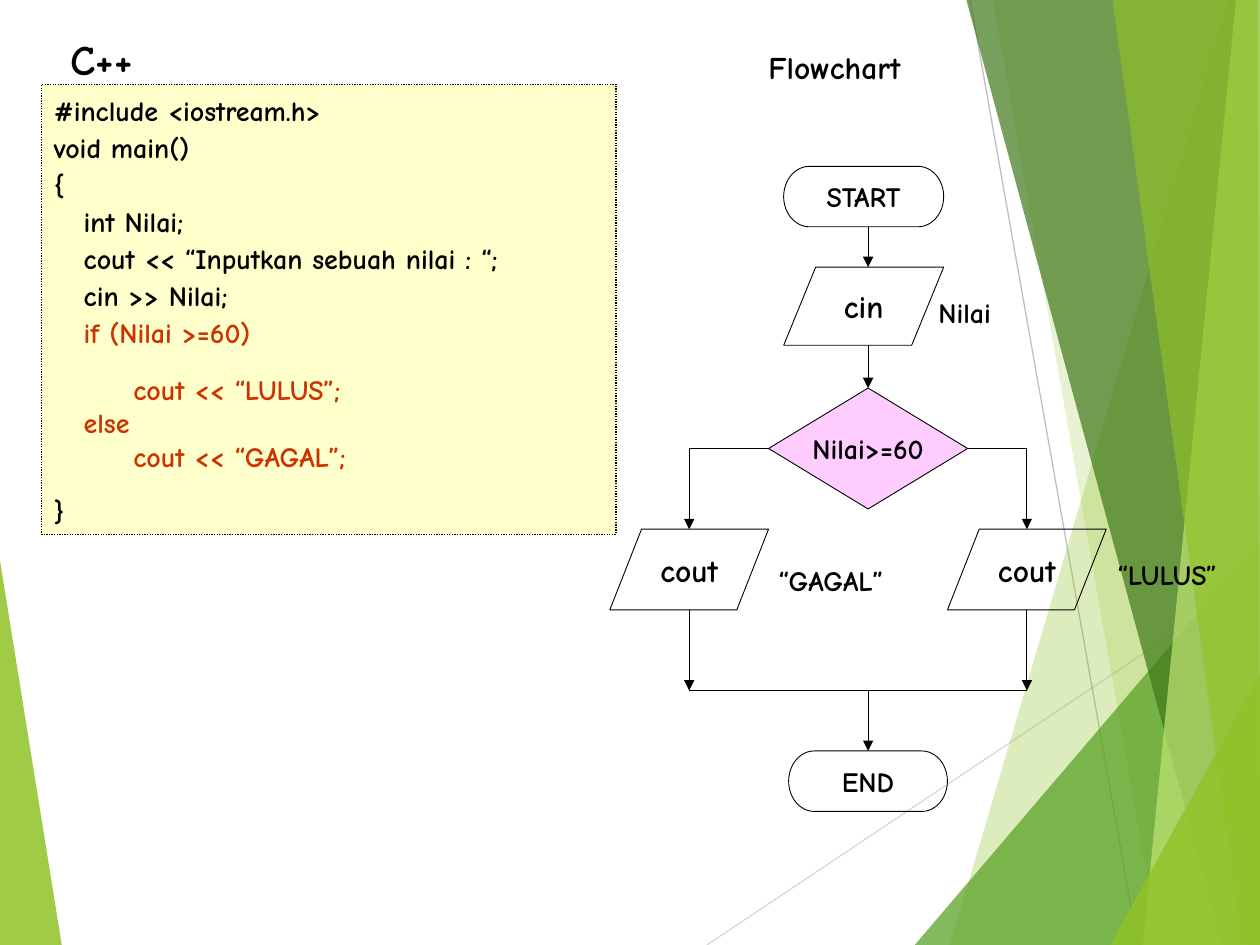
from lxml.etree import SubElement
from pptx import Presentation
from pptx.dml.color import RGBColor
from pptx.enum.dml import MSO_LINE
from pptx.enum.shapes import MSO_CONNECTOR, MSO_SHAPE
from pptx.enum.text import MSO_ANCHOR, MSO_AUTO_SIZE, PP_ALIGN
from pptx.oxml.ns import qn
from pptx.util import Inches, Pt

FONT = "Comic Neue"
BLACK = RGBColor(0x00, 0x00, 0x00)
RED = RGBColor(0xCC, 0x33, 0x00)
CREAM = RGBColor(0xFF, 0xFF, 0xCC)
PINK = RGBColor(0xFF, 0xCC, 0xFF)
LIME = RGBColor(0x90, 0xC2, 0x26)
GREEN = RGBColor(0x54, 0xA0, 0x21)
DARK_GREEN = RGBColor(0x3F, 0x78, 0x19)
PALE_GREEN = RGBColor(0xC0, 0xE4, 0x74)
LIGHT_GRAY = RGBColor(0xD9, 0xD9, 0xD9)
GRAY = RGBColor(0xBF, 0xBF, 0xBF)

prs = Presentation()
prs.slide_width, prs.slide_height = Inches(10), Inches(7.5)
slide = prs.slides.add_slide(prs.slide_layouts[6])
shapes = slide.shapes


def add_line(x1, y1, x2, y2, color=BLACK, width=0.5, arrow=False):
    line = shapes.add_connector(MSO_CONNECTOR.STRAIGHT, Inches(x1), Inches(y1),
                                Inches(x2), Inches(y2))
    line.line.color.rgb = color
    line.line.width = Pt(width)
    properties = line.line._get_or_add_ln()
    if arrow:
        SubElement(properties, qn("a:tailEnd"), type="triangle", w="med", len="med")
    SubElement(properties.getparent(), qn("a:effectLst"))
    return line


def add_run(paragraph, text, size, color=BLACK):
    run = paragraph.add_run()
    run.text = text
    run.font.name = FONT
    run.font.size = Pt(size)
    run.font.bold = True
    run.font.color.rgb = color


# Background lines and translucent green facets
add_line(5.61, 7.5, 10, 4.57, LIGHT_GRAY, 0.75)
add_line(7.7, 0, 9.03, 7.5, GRAY, 0.75)
facets = [
    (LIME, 85, [(0, 4.45), (0.49, 7.5), (0, 7.5)]),
    (LIME, 30, [(9.75, 0), (7.54, 7.5), (10, 7.5), (10, 0)]),
    (LIME, 20, [(7.88, 0), (9.2, 7.5), (10, 7.5), (10, 0)]),
    (GREEN, 72, [(7.26, 7.5), (10, 4.29), (10, 7.5)]),
    (DARK_GREEN, 70, [(7.67, 0), (9.7, 7.5), (10, 7.5), (10, 0)]),
    (PALE_GREEN, 70, [(9.81, 0), (9.07, 7.5), (10, 7.5), (10, 0)]),
    (LIME, 65, [(8.83, 0), (9.86, 7.5), (10, 7.5), (9.98, 0)]),
    (LIME, 80, [(8.81, 7.5), (10, 5.35), (10, 7.5)]),
]
for color, opacity, points in facets:
    corners = [(Inches(x), Inches(y)) for x, y in points]
    builder = shapes.build_freeform(*corners[0])
    builder.add_line_segments(corners[1:], close=True)
    facet = builder.convert_to_shape()
    facet.shadow.inherit = False
    facet.line.fill.background()
    facet.fill.solid()
    facet.fill.fore_color.rgb = color
    solid_color = facet.fill._xPr.find(qn("a:solidFill"))[0]
    SubElement(solid_color, qn("a:alpha"), val=str(opacity * 1000))

# C++ listing: line spacing, text, colour
listing = shapes.add_shape(MSO_SHAPE.RECTANGLE, Inches(0.33), Inches(0.67),
                           Inches(4.56), Inches(3.57))
listing.shadow.inherit = False
listing.fill.solid()
listing.fill.fore_color.rgb = CREAM
listing.line.color.rgb = BLACK
listing.line.width = Pt(0.75)
listing.line.dash_style = MSO_LINE.ROUND_DOT
code = [
    (1.1, "#include <iostream.h>", BLACK),
    (1.1, "void main()", BLACK),
    (1.1, "{", BLACK),
    (1.1, "   int Nilai;", BLACK),
    (1.1, "   cout << “Inputkan sebuah nilai : “;", BLACK),
    (1.1, "   cin >> Nilai;", BLACK),
    (1.1, "   if (Nilai >=60)", RED),
    (1.7, "        cout << “LULUS”;", RED),
    (1.0, "   else", RED),
    (1.0, "        cout << “GAGAL”;", RED),
    (1.6, "}", BLACK),
]
frame = listing.text_frame
frame.word_wrap = True
frame.auto_size = MSO_AUTO_SIZE.SHAPE_TO_FIT_TEXT
frame.vertical_anchor = MSO_ANCHOR.TOP
for number, (spacing, text, color) in enumerate(code):
    paragraph = frame.add_paragraph() if number else frame.paragraphs[0]
    paragraph.alignment = PP_ALIGN.LEFT
    paragraph.line_spacing = spacing
    add_run(paragraph, text, 16, color)

# Flowchart nodes
SPINE, NO_X, YES_X = 6.89, 5.47, 8.15
BRANCH_Y, IO_TOP, IO_BOTTOM, MERGE_Y = 3.56, 4.2, 4.84, 5.48
TERMINATOR = MSO_SHAPE.FLOWCHART_TERMINATOR
IN_OUT = MSO_SHAPE.FLOWCHART_DATA
DECISION = MSO_SHAPE.FLOWCHART_DECISION
nodes = [
    (TERMINATOR, 6.22, 1.32, 1.27, 0.48, "START", 16),
    (IN_OUT, 6.22, 2.12, 1.27, 0.62, "cin", 18),
    (TERMINATOR, 6.26, 5.96, 1.26, 0.48, "END", 16),
    (IN_OUT, YES_X - 0.63, IO_TOP, 1.26, 0.64, "cout", 18),
    (IN_OUT, NO_X - 0.63, IO_TOP, 1.26, 0.64, "cout", 18),
    (DECISION, SPINE - 0.79, 3.08, 1.58, 0.96, "Nilai>=60", 16),
]
for kind, left, top, width, height, text, size in nodes:
    node = shapes.add_shape(kind, Inches(left), Inches(top), Inches(width), Inches(height))
    node.shadow.inherit = False
    node.line.color.rgb = BLACK
    node.line.width = Pt(0.5)
    if kind == DECISION:
        node.fill.solid()
        node.fill.fore_color.rgb = PINK
        decision = node
    else:
        node.fill.background()
    node.text_frame.word_wrap = False
    node.text_frame.vertical_anchor = MSO_ANCHOR.MIDDLE
    paragraph = node.text_frame.paragraphs[0]
    paragraph.alignment = PP_ALIGN.CENTER
    add_run(paragraph, text, size)

# Flow down the spine and out of the decision
add_line(SPINE, 1.8, SPINE, 2.12, arrow=True)
add_line(SPINE, 2.74, SPINE, 3.08, arrow=True).end_connect(decision, 0)
add_line(SPINE, MERGE_Y, SPINE, 5.96, arrow=True)
for branch_x, side_x, site in [(NO_X, 6.1, 1), (YES_X, 7.68, 3)]:
    add_line(side_x, BRANCH_Y, branch_x, BRANCH_Y).begin_connect(decision, site)
    add_line(branch_x, BRANCH_Y, branch_x, IO_TOP, arrow=True)
    add_line(branch_x, IO_BOTTOM, branch_x, MERGE_Y, arrow=True)
add_line(NO_X, MERGE_Y, YES_X, MERGE_Y)

# Headings and node captions
labels = [
    (7.35, 2.3, 0.7, 0.37, "Nilai", 16),
    (8.77, 4.38, 1.01, 0.37, "“LULUS”", 16),
    (6.08, 4.42, 1.03, 0.37, "“GAGAL”", 16),
    (6, 0.33, 1.25, 0.4, "Flowchart", 18),
    (0.46, 0.22, 0.69, 0.5, "C++", 24),
]
for left, top, width, height, text, size in labels:
    label = shapes.add_textbox(Inches(left), Inches(top), Inches(width), Inches(height))
    label.text_frame.word_wrap = False
    label.text_frame.auto_size = MSO_AUTO_SIZE.SHAPE_TO_FIT_TEXT
    add_run(label.text_frame.paragraphs[0], text, size)

prs.save("out.pptx")
